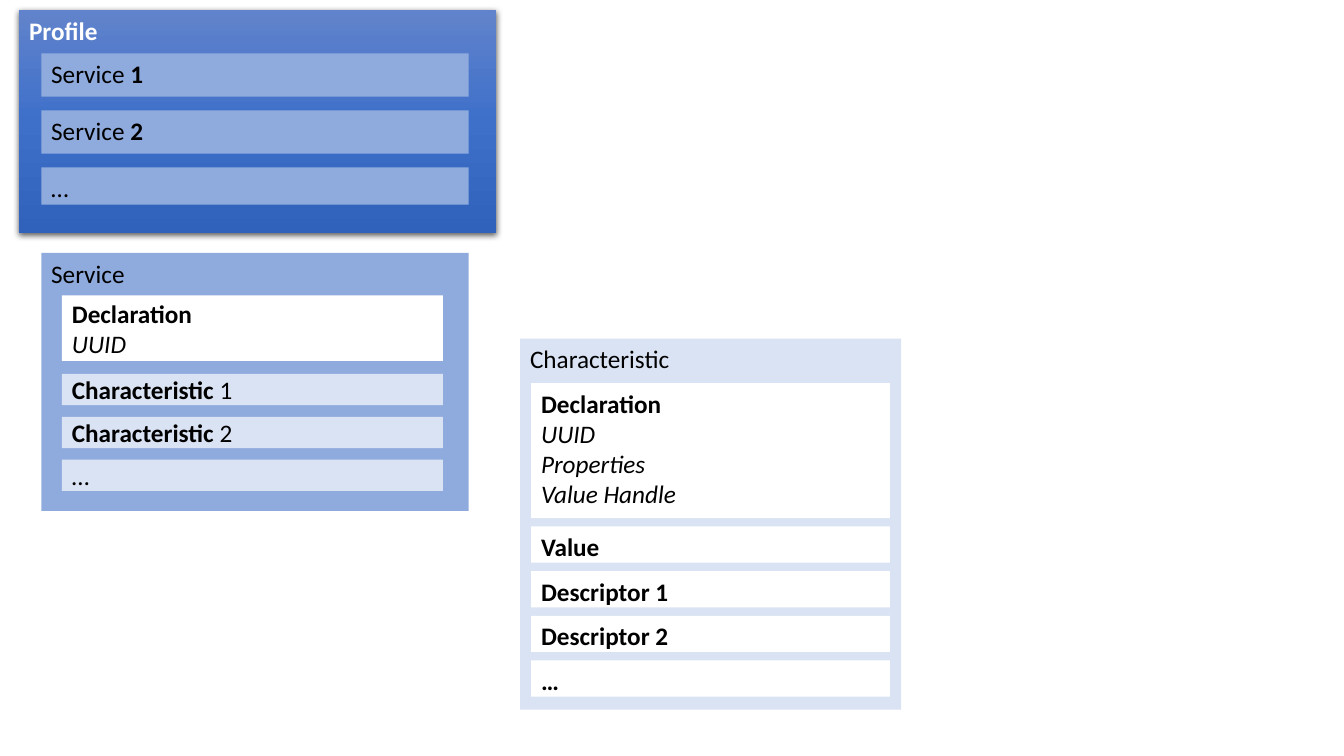
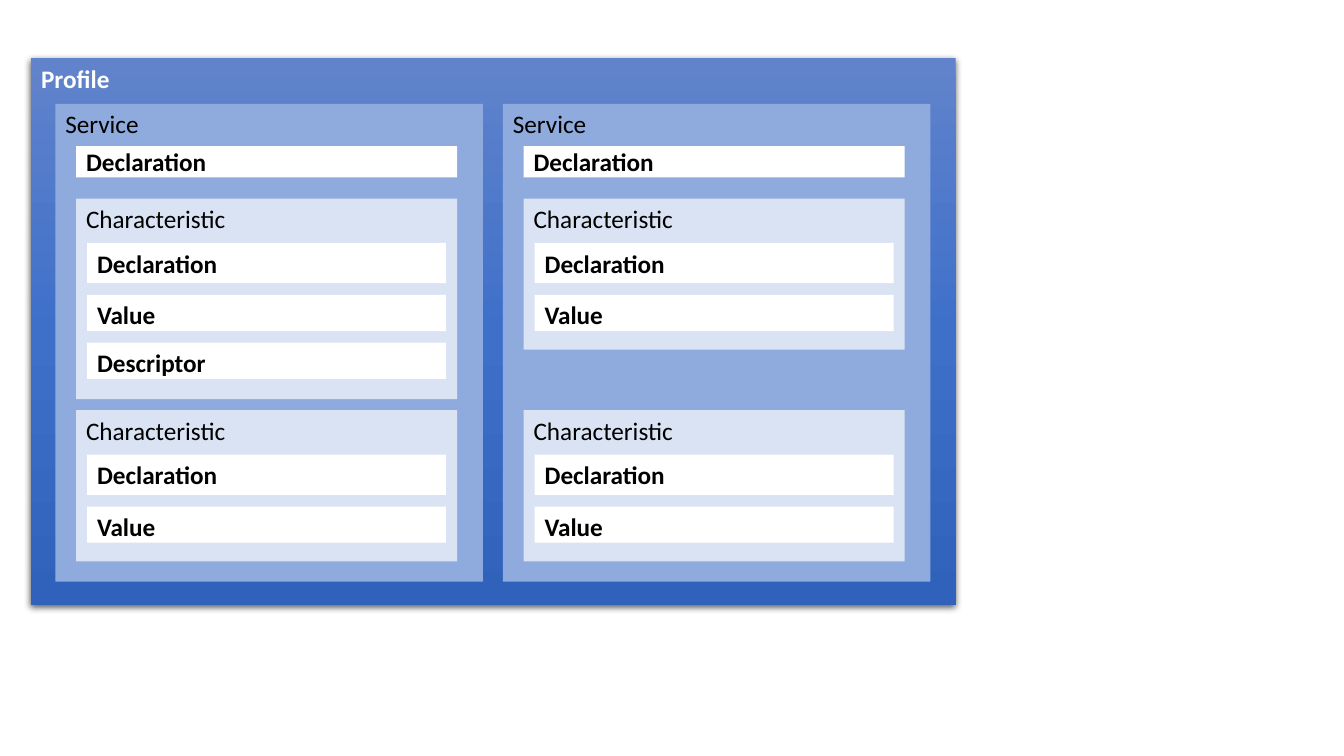
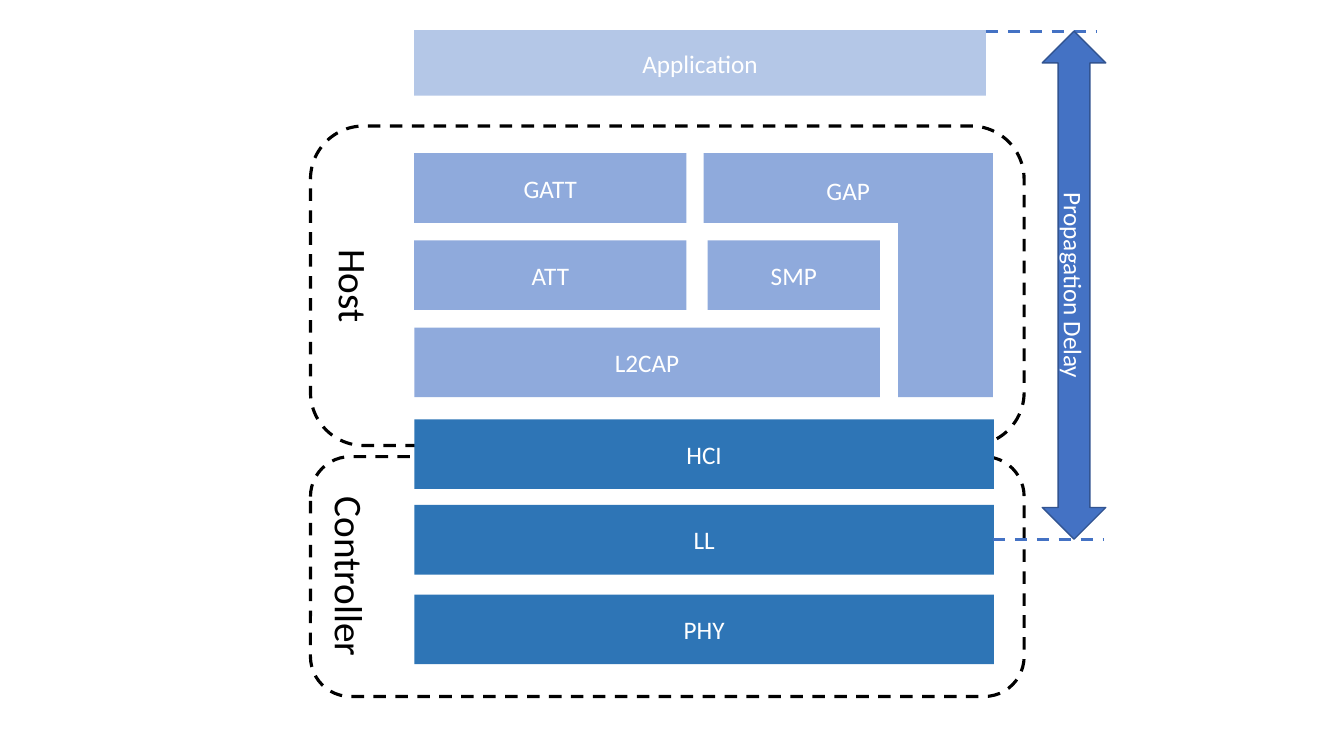
from copy import deepcopy
from dataclasses import dataclass, replace
from typing import Optional

from lxml.etree import SubElement
from pptx import Presentation
from pptx.dml.color import RGBColor
from pptx.enum.dml import MSO_LINE
from pptx.enum.shapes import MSO_CONNECTOR, MSO_SHAPE
from pptx.enum.text import MSO_ANCHOR, PP_ALIGN
from pptx.oxml.ns import qn
from pptx.util import Emu, Inches, Length, Pt

CELL = Inches(0.1)
SLIDE_COLUMNS, SLIDE_ROWS = 133.33, 75
FONT = "Calibri"
COLORS = {
    "black": "000000",
    "white": "FFFFFF",
    "profile_top": "6183CB",
    "profile_middle": "3E70CA",
    "profile_bottom": "3062BB",
    "service": "8FAADC",
    "characteristic": "DAE3F3",
    "application": "B4C7E7",
    "host": "8FAADC",
    "controller": "2E75B6",
    "delay": "4472C4",
    "delay_edge": "325491",
}
PROFILE_STOPS = ((0, "profile_top"), (0.5, "profile_middle"), (1, "profile_bottom"))
SERVICE_WIDTH = 42.4
CHARACTERISTIC_WIDTH = 37.8
LAYER_WIDTH = 57.5
LAYER_HEIGHT = 6.9


@dataclass(frozen=True)
class Line:
    text: str
    bold: bool = False
    italic: bool = False
    tail: str = ""


@dataclass(frozen=True)
class Style:
    fill: Optional[str] = None
    gradient: bool = False
    font_color: str = "black"
    size: int = 18
    anchor: MSO_ANCHOR = MSO_ANCHOR.TOP
    align: PP_ALIGN = PP_ALIGN.LEFT
    line: Optional[str] = None
    line_width: float = 2.25
    dashed: bool = False
    vertical: bool = False
    top_margin: float = 0.5
    preset: MSO_SHAPE = MSO_SHAPE.RECTANGLE


@dataclass(frozen=True)
class Box:
    column: float
    row: float
    width: float
    height: float
    style: Style
    lines: tuple[Line, ...]


@dataclass(frozen=True)
class Part:
    height: float
    lines: tuple[Line, ...]


PROFILE = Style(gradient=True, font_color="white")
SERVICE = Style("service")
CHARACTERISTIC = Style("characteristic")
ATTRIBUTE = Style("white")
DECLARATION = replace(ATTRIBUTE, anchor=MSO_ANCHOR.MIDDLE)
SUMMARY = replace(CHARACTERISTIC, anchor=MSO_ANCHOR.MIDDLE)
APPLICATION = Style("application", font_color="white", anchor=MSO_ANCHOR.MIDDLE, align=PP_ALIGN.CENTER)
HOST = replace(APPLICATION, fill="host")
CONTROLLER = replace(APPLICATION, fill="controller")
ACCESS = replace(HOST, anchor=MSO_ANCHOR.TOP, top_margin=2.2)
DELAY = replace(APPLICATION, fill="delay", line="delay_edge", line_width=1, vertical=True,
                preset=MSO_SHAPE.UP_DOWN_ARROW)
GROUP = Style(size=28, anchor=MSO_ANCHOR.BOTTOM, align=PP_ALIGN.CENTER, line="black",
              dashed=True, vertical=True, preset=MSO_SHAPE.ROUNDED_RECTANGLE)


def cells(count: float) -> Length:
    return Emu(round(count * CELL))


def color(name: str) -> RGBColor:
    return RGBColor.from_string(COLORS[name])


def apply_gradient(shape) -> None:
    shape.fill.gradient()
    shape.fill.gradient_angle = 270
    stop_list = shape._element.spPr.find(".//" + qn("a:gsLst"))
    stop_list.append(deepcopy(stop_list[0]))
    for stop, (position, name) in zip(shape.fill.gradient_stops, PROFILE_STOPS):
        stop.position = position
        stop.color.rgb = color(name)


def apply_shadow(shape) -> None:
    effects = shape._element.spPr.find(qn("a:effectLst"))
    shadow = SubElement(effects, qn("a:outerShdw"), blurRad=str(Pt(4.5)), dist=str(Pt(1.5)),
                        dir="5400000", algn="ctr", rotWithShape="0")
    tint = SubElement(shadow, qn("a:srgbClr"), val=COLORS["black"])
    SubElement(tint, qn("a:alpha"), val="63000")


def format_line(line, name: str, width: float, dashed: bool) -> None:
    line.color.rgb = color(name)
    line.width = Pt(width)
    if dashed:
        line.dash_style = MSO_LINE.DASH


def write_text(shape, lines: tuple[Line, ...], style: Style) -> None:
    text_frame = shape.text_frame
    text_frame.word_wrap = True
    text_frame.vertical_anchor = style.anchor
    text_frame.margin_top = cells(style.top_margin)
    if style.vertical:
        text_frame._txBody.bodyPr.set("vert", "vert")
    text_frame.text = "\n".join(line.text for line in lines)
    for paragraph, line in zip(text_frame.paragraphs, lines):
        paragraph.alignment = style.align
        paragraph.runs[0].font.bold = line.bold
        if line.tail:
            tail = paragraph.add_run()
            tail.text = line.tail
            tail.font.bold = not line.bold
        for run in paragraph.runs:
            run.font.name = FONT
            run.font.size = Pt(style.size)
            run.font.italic = line.italic
            run.font.color.rgb = color(style.font_color)


def format_shape(shape, style: Style, lines: tuple[Line, ...]) -> None:
    shape.shadow.inherit = False
    if style.gradient:
        apply_gradient(shape)
        apply_shadow(shape)
    elif style.fill:
        shape.fill.solid()
        shape.fill.fore_color.rgb = color(style.fill)
    else:
        shape.fill.background()
    if style.line:
        format_line(shape.line, style.line, style.line_width, style.dashed)
    else:
        shape.line.fill.background()
    write_text(shape, lines, style)


def draw_boxes(slide, boxes: list[Box]) -> None:
    for box in boxes:
        shape = slide.shapes.add_shape(box.style.preset, cells(box.column), cells(box.row),
                                       cells(box.width), cells(box.height))
        format_shape(shape, box.style, box.lines)


def draw_outline(slide, points: list[tuple[float, float]], style: Style, text: str) -> None:
    start, *corners = [(cells(column), cells(row)) for column, row in points]
    builder = slide.shapes.build_freeform(*start)
    builder.add_line_segments(corners, close=True)
    format_shape(builder.convert_to_shape(), style, (Line(text),))


def draw_guide(slide, column: float, row: float, width: float) -> None:
    guide = slide.shapes.add_connector(MSO_CONNECTOR.STRAIGHT, cells(column), cells(row),
                                       cells(column + width), cells(row))
    format_line(guide.line, "delay", 2.25, True)
    SubElement(guide._element.spPr, qn("a:effectLst"))


def stack(column: float, row: float, width: float, gap: float, style: Style,
          parts: list[Part]) -> list[Box]:
    boxes = []
    for part in parts:
        boxes.append(Box(column, row, width, part.height, style, part.lines))
        row += part.height + gap
    return boxes


def bold_part(height: float, text: str) -> Part:
    return Part(height, (Line(text, bold=True),))


def characteristic(column: float, row: float, height: float, gap: float,
                   parts: list[Part]) -> list[Box]:
    frame = Box(column, row, CHARACTERISTIC_WIDTH, height, CHARACTERISTIC, (Line("Characteristic"),))
    return [frame, *stack(column + 1.1, row + 4.4, CHARACTERISTIC_WIDTH - 2.2, gap, ATTRIBUTE, parts)]


def service(column: float, row: float, height: float, declaration: Part) -> list[Box]:
    return [
        Box(column, row, SERVICE_WIDTH, height, SERVICE, (Line("Service"),)),
        Box(column + 2.05, row + 4.2, CHARACTERISTIC_WIDTH, declaration.height, DECLARATION,
            declaration.lines),
    ]


def profile(column: float, row: float, width: float, height: float) -> Box:
    return Box(column, row, width, height, PROFILE, (Line("Profile", bold=True),))


def draw_hierarchy(slide) -> None:
    service_parts = [
        Part(4.3, (Line("Service ", tail="1"),)),
        Part(4.3, (Line("Service ", tail="2"),)),
        Part(3.7, (Line("…"),)),
    ]
    summaries = [
        Part(3.1, (Line("Characteristic", bold=True, tail=" 1"),)),
        Part(3.1, (Line("Characteristic", bold=True, tail=" 2"),)),
        Part(3.1, (Line("…"),)),
    ]
    heading = Line("Declaration", bold=True)
    identifier = Line("UUID", italic=True)
    details = (heading, identifier, Line("Properties", italic=True), Line("Value Handle", italic=True))
    attributes = [bold_part(3.6, text) for text in ("Value", "Descriptor 1", "Descriptor 2", "…")]
    draw_boxes(slide, [
        profile(1.9, 1, 47.3, 22.1),
        *stack(4.1, 5.3, SERVICE_WIDTH, 1.35, SERVICE, service_parts),
        *service(4.1, 25.1, 25.6, Part(6.5, (heading, identifier))),
        *stack(6.15, 37.1, CHARACTERISTIC_WIDTH, 1.15, SUMMARY, summaries),
        *characteristic(51.6, 33.6, 36.8, 0.83, [Part(13.4, details), *attributes]),
    ])


def draw_profile_example(slide) -> None:
    basic = [bold_part(4, "Declaration"), bold_part(3.6, "Value")]
    described = [*basic, bold_part(3.6, "Descriptor")]
    boxes = [profile(3.1, 5.8, 91.7, 54.2)]
    for column, first_height, first_parts in ((5.5, 19.9, described), (49.9, 15, basic)):
        boxes += service(column, 10.3, 47.4, bold_part(3.1, "Declaration"))
        boxes += characteristic(column + 2.05, 19.7, first_height, 1.15, first_parts)
        boxes += characteristic(column + 2.05, 40.7, 15, 1.15, basic)
    draw_boxes(slide, boxes)


def draw_protocol_stack(slide) -> None:
    left = 41.1
    host_rows = [15.2 + 8.65 * index for index in range(3)]
    layers = [
        (left, host_rows[0], 27, HOST, "GATT"),
        (left, host_rows[1], 27, HOST, "ATT"),
        (left, host_rows[2], 46.2, HOST, "L2CAP"),
        (70.2, host_rows[1], 17.1, HOST, "SMP"),
        (left, 41.6, LAYER_WIDTH, CONTROLLER, "HCI"),
        (left, 50.1, LAYER_WIDTH, CONTROLLER, "LL"),
        (left, 59, LAYER_WIDTH, CONTROLLER, "PHY"),
    ]
    draw_boxes(slide, [
        Box(30.8, 12.5, 70.8, 31.7, GROUP, (Line("Host"),)),
        Box(30.8, 45.3, 70.8, 23.8, GROUP, (Line("Controller"),)),
        Box(left, 3, 56.7, 6.5, APPLICATION, (Line("Application"),)),
        *(Box(column, row, width, LAYER_HEIGHT, style, (Line(text),))
          for column, row, width, style, text in layers),
    ])
    draw_outline(slide, [(69.8, 15.2), (98.5, 15.2), (98.5, 39.4), (89.1, 39.4),
                         (89.1, 22.1), (69.8, 22.1)], ACCESS, "GAP")
    draw_guide(slide, 98.5, 53.5, 11)
    draw_guide(slide, 97.8, 3.1, 10.9)
    draw_boxes(slide, [Box(103.4, 3.1, 6.3, 50.4, DELAY, (Line("Propagation Delay"),))])


def main() -> None:
    presentation = Presentation()
    presentation.slide_width = cells(SLIDE_COLUMNS)
    presentation.slide_height = cells(SLIDE_ROWS)
    blank_layout = presentation.slide_layouts[6]
    for draw_slide in (draw_hierarchy, draw_profile_example, draw_protocol_stack):
        draw_slide(presentation.slides.add_slide(blank_layout))
    presentation.save("out.pptx")


main()
